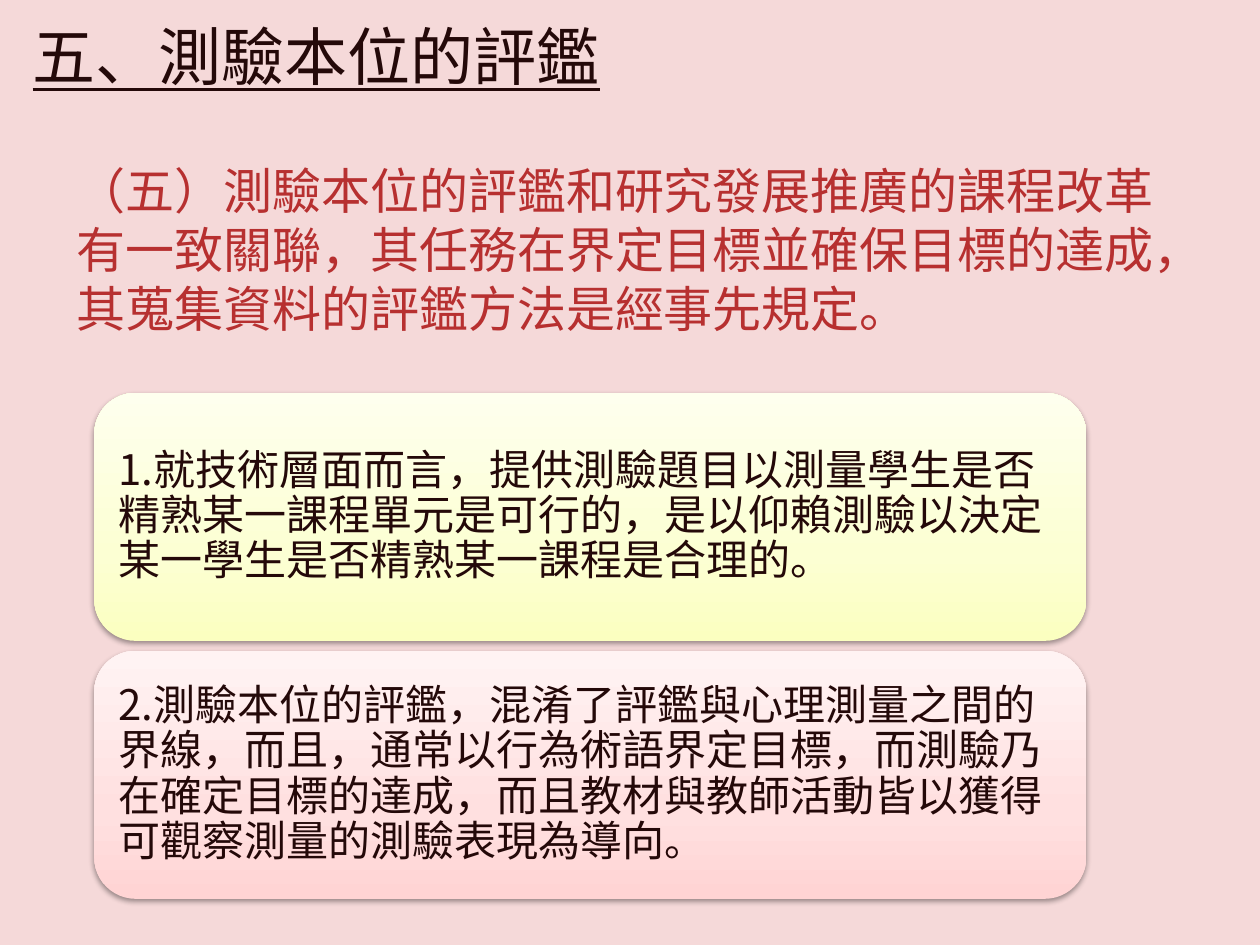
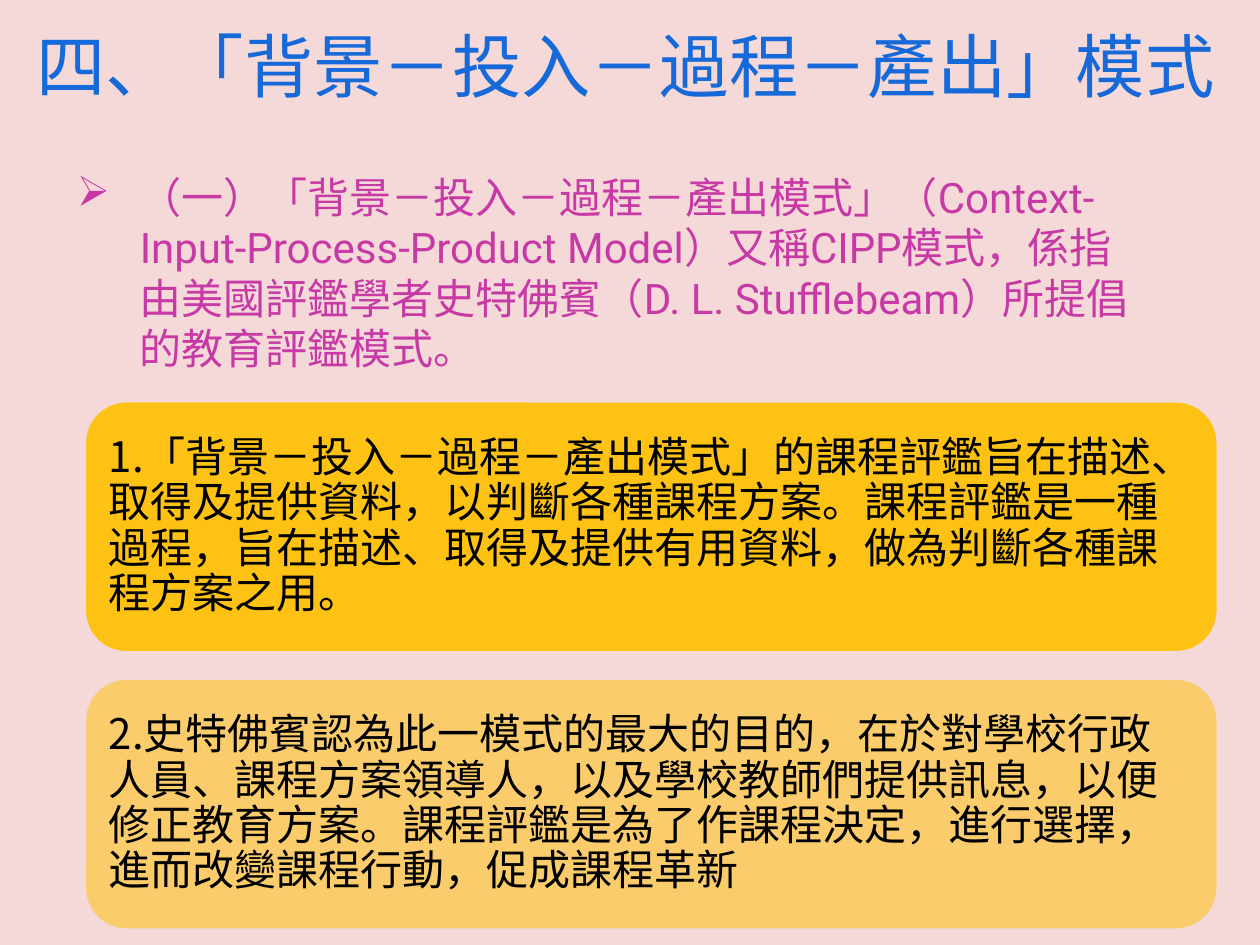
"""Build two slides on curriculum evaluation models."""
from copy import deepcopy

from lxml import etree
from pptx import Presentation
from pptx import util as u
from pptx.dml.color import RGBColor
from pptx.enum import shapes, text
from pptx.oxml.ns import qn

CJK, LATIN = "Noto Sans CJK SC", "Roboto"
COLORS = {
    "background": "F5D9D9", "ink": "240909", "red": "B73030", "blue": "1669D8",
    "magenta": "C739A5", "amber": "FFC000", "black": "000000",
}
GRADIENTS = {
    "yellow": ("FBFFC0", "FCFFD3", "FEFFEE"),
    "pink": ("FFD4D4", "FFE0E0", "FFF3F3"),
}
GRADIENT_POSITIONS = (0, 0.35, 1)


def color(name):
    return RGBColor.from_string(COLORS[name])


def apply_format(target, values):
    for name, value in values.items():
        setattr(target, name, value)


def add_run(paragraph, wording, size, color_name, **extra):
    run = paragraph.add_run()
    run.text = wording
    apply_format(run.font, {"name": CJK, "size": u.Pt(size), **extra})
    run.font.color.rgb = color(color_name)
    east_asian = etree.Element(qn("a:ea"), typeface=CJK)
    run.font._element.find(qn("a:latin")).addnext(east_asian)
    return run


def add_shadow(effects, blur, distance, angle, opacity):
    shadow = etree.SubElement(
        effects, qn("a:outerShdw"), blurRad=str(u.Pt(blur)), dist=str(u.Pt(distance)),
        dir=str(angle * 60000), algn="tl", rotWithShape="0")
    tone = etree.SubElement(shadow, qn("a:srgbClr"), val=COLORS["black"])
    etree.SubElement(tone, qn("a:alpha"), val=str(opacity * 1000))


def add_title_slide(presentation, wording, box, size, color_name, **extra):
    slide = presentation.slides.add_slide(presentation.slide_layouts[5])
    title = slide.shapes.title
    apply_format(title, dict(zip(("left", "top", "width", "height"), map(u.Cm, box))))
    apply_format(title.text_frame, {
        "auto_size": text.MSO_AUTO_SIZE.NONE, "word_wrap": True,
        "vertical_anchor": text.MSO_ANCHOR.MIDDLE})
    paragraph = title.text_frame.paragraphs[0]
    paragraph.alignment = text.PP_ALIGN.CENTER
    return slide, add_run(paragraph, wording, size, color_name, **extra)


def shade_text(run):
    effects = etree.Element(qn("a:effectLst"))
    run.font._element.find(qn("a:solidFill")).addnext(effects)
    add_shadow(effects, 3, 3, 45, 45)


def add_intro(slide, box):
    frame = slide.shapes.add_textbox(*map(u.Cm, box)).text_frame
    frame.word_wrap = True
    return frame.paragraphs[0]


def add_arrow_bullet(paragraph, indent):
    properties = paragraph._p.get_or_add_pPr()
    properties.set("marL", str(u.Cm(indent)))
    properties.set("indent", str(-u.Cm(indent)))
    etree.SubElement(properties, qn("a:buChar"), char="➢")


def add_card(slide, box, color_name, *runs):
    card = slide.shapes.add_shape(
        shapes.MSO_SHAPE.ROUNDED_RECTANGLE, *map(u.Cm, box))
    card.shadow.inherit = False
    inset = u.Cm(0.25)
    apply_format(card.text_frame, {
        "word_wrap": True, "vertical_anchor": text.MSO_ANCHOR.MIDDLE,
        "margin_left": inset, "margin_right": inset,
        "margin_top": inset, "margin_bottom": inset})
    paragraph = card.text_frame.paragraphs[0]
    apply_format(paragraph, {"alignment": text.PP_ALIGN.LEFT, "line_spacing": 0.9})
    for wording, size, font_name in runs:
        add_run(paragraph, wording, size, color_name, name=font_name)
    return card


def fill_gradient(card, tones):
    card.line.fill.background()
    card.fill.gradient()
    card.fill.gradient_angle = 90
    first_stop = card.element.spPr.find(".//" + qn("a:gs"))
    first_stop.addnext(deepcopy(first_stop))
    for stop, position, tone in zip(card.fill.gradient_stops, GRADIENT_POSITIONS, tones):
        stop.position = position
        stop.color.rgb = RGBColor.from_string(tone)
    add_shadow(card.element.spPr.find(qn("a:effectLst")), 3.1, 1.6, 90, 38)


def fill_translucent(card, opacity):
    card.fill.solid()
    card.fill.fore_color.rgb = color("amber")
    tone = card.element.spPr.find(qn("a:solidFill")).find(qn("a:srgbClr"))
    etree.SubElement(tone, qn("a:alpha"), val=str(opacity * 1000))
    card.line.color.rgb = color("background")
    card.line.width = u.Pt(2)


def build_test_based_slide(presentation):
    slide, title_run = add_title_slide(
        presentation, "五、測驗本位的評鑑", (-0.43, -0.48, 13.61, 3.18), 36, "ink",
        underline=True)
    shade_text(title_run)
    intro = add_intro(slide, (1.3, 3.12, 23.01, 3.84))
    add_run(intro, "（五）測驗本位的評鑑和研究發展推廣的課程改革有一致關聯，"
            "其任務在界定目標並確保目標的達成，其蒐集資料的評鑑方法是經事先規定。", 28, "red")
    cards = (
        ("yellow", [("1.就技術層面而言，提供測驗題目以測量學生是否精熟某一課程單元是可行的，"
                     "是以仰賴測驗以決定某一學生是否精熟某一課程是合理的。", 24, CJK)]),
        ("pink", [("2.測驗本位的評鑑，混淆了評鑑與心理測量之間的界線，而且，"
                   "通常以行為術語界定目標，而測驗乃在確定目標的達成，"
                   "而且教材與教師活動皆以獲得可觀察測量的測驗表現為導向", 24, CJK),
                  ("。", 23, "Calibri")]),
    )
    for row, (gradient, runs) in enumerate(cards):
        card = add_card(slide, (1.9, 7.92 + row * 5.2, 20, 5), "ink", *runs)
        fill_gradient(card, GRADIENTS[gradient])


def build_cipp_slide(presentation):
    slide, _ = add_title_slide(
        presentation, "四、「背景－投入－過程－產出」模式", (0.3, -0.28, 24.61, 3.18),
        39.6, "blue")
    intro = add_intro(slide, (1.3, 3.33, 22, 4.37))
    add_arrow_bullet(intro, 1.27)
    for wording, font_name in (
            ("（一）「背景－投入－過程－產出模式」（", CJK),
            ("Context-Input-Process-Product Model", LATIN),
            ("）又稱", CJK), ("CIPP", LATIN),
            ("模式，係指由美國評鑑學者史特佛賓（", CJK),
            ("D. L. Stufflebeam", LATIN), ("）所提倡的教育評鑑模式。", CJK)):
        add_run(intro, wording, 24, "magenta", name=font_name)
    cards = (
        (90, "1.「背景－投入－過程－產出模式」的課程評鑑旨在描述、取得及提供資料，"
             "以判斷各種課程方案。課程評鑑是一種過程，旨在描述、取得及提供有用資料，"
             "做為判斷各種課程方案之用。"),
        (50, "2.史特佛賓認為此一模式的最大的目的，在於對學校行政人員、課程方案領導人，"
             "以及學校教師們提供訊息，以便修正教育方案。課程評鑑是為了作課程決定，"
             "進行選擇，進而改變課程行動，促成課程革新"),
    )
    for row, (opacity, wording) in enumerate(cards):
        card = add_card(slide, (1.7, 8.08 + row * 5.59, 22.86, 5.08), "black",
                        (wording, 24, CJK))
        fill_translucent(card, opacity)


def main():
    presentation = Presentation()
    presentation.slide_width, presentation.slide_height = u.Cm(25.4), u.Cm(19.05)
    background = presentation.slide_master.background.fill
    background.solid()
    background.fore_color.rgb = color("background")
    build_test_based_slide(presentation)
    build_cipp_slide(presentation)
    presentation.save("out.pptx")


if __name__ == "__main__":
    main()
